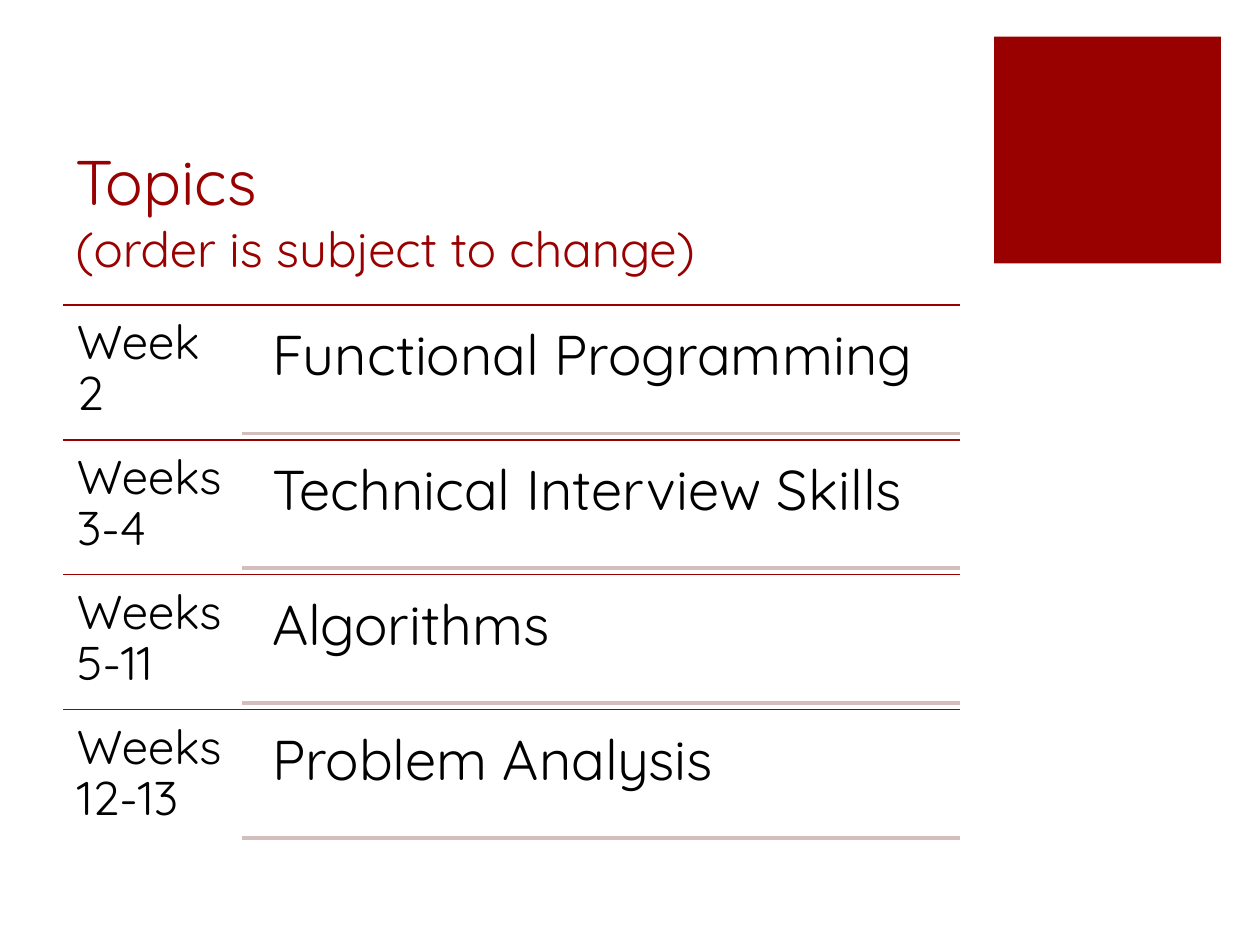
"""Build the course topics slide: a title above a ruled list of weeks."""
from lxml import etree
from pptx import Presentation
from pptx import util as u
from pptx.dml.color import RGBColor
from pptx.enum import shapes, text
from pptx.oxml.ns import qn

COLORS = {"accent": "990000", "rule": "D4BDBD", "body": "000000"}
FONT = "Quicksand"
TITLE = [("Topics", 36), ("(order is subject to change)", 28)]
TOPICS = [
    ("Week 2", "Functional Programming"),
    ("Weeks 3-4", "Technical Interview Skills"),
    ("Weeks 5-11", "Algorithms"),
    ("Weeks 12-13", "Problem Analysis"),
]
LEFT, RIGHT, TOP, PITCH = 0.5, 7.62, 2.42, 1.07
WEEK_WIDTH, TOPIC_LEFT, GAP = 1.42, 2.03, 0.05

deck = Presentation()
deck.slide_width, deck.slide_height = u.Inches(10), u.Inches(7.5)
slide = deck.slides.add_slide(deck.slide_layouts[6])


def color(name):
    return RGBColor.from_string(COLORS[name])


def add_rule(left, y, name, width):
    rule = slide.shapes.add_connector(
        shapes.MSO_CONNECTOR.STRAIGHT, *map(u.Inches, (left, y, RIGHT, y)))
    rule.line.color.rgb = color(name)
    rule.line.width = u.Pt(width)
    etree.SubElement(rule._element.spPr, qn("a:effectLst"))


def add_text(box, lines, name, inset, anchor, spacing=1.0):
    frame = slide.shapes.add_textbox(*map(u.Inches, box)).text_frame
    margins = {f"margin_{side}": u.Inches(inset[i % 2])
               for i, side in enumerate(("left", "top", "right", "bottom"))}
    for key, value in {"word_wrap": True, "vertical_anchor": anchor, **margins}.items():
        setattr(frame, key, value)
    paragraph = frame.paragraphs[0]
    paragraph.line_spacing = spacing
    for i, (words, size) in enumerate(lines):
        if i:
            paragraph.add_line_break()
        run = paragraph.add_run()
        run.text = words
        for key, value in {"name": FONT, "size": u.Pt(size)}.items():
            setattr(run.font, key, value)
        run.font.color.rgb = color(name)


corner = slide.shapes.add_shape(
    shapes.MSO_SHAPE.RECTANGLE, *map(u.Inches, (7.89, 0.29, 1.8, 1.8)))
corner.shadow.inherit = False
corner.fill.solid()
corner.fill.fore_color.rgb = color("accent")
corner.line.fill.background()

add_text((LEFT, 1, RIGHT - LEFT, 1.25), TITLE, "accent", (0.1, 0.05),
         text.MSO_ANCHOR.BOTTOM)

for row, (week, topic) in enumerate(TOPICS):
    y = TOP + row * PITCH
    add_rule(LEFT, y, "accent", 1)
    add_text((LEFT, y, WEEK_WIDTH, PITCH), [(week, 27)], "body",
             (0.11, 0.11), text.MSO_ANCHOR.TOP, 0.9)
    add_text((TOPIC_LEFT, y + GAP, RIGHT - TOPIC_LEFT, PITCH - 2 * GAP),
             [(topic, 32)], "body", (0.13, 0.13), text.MSO_ANCHOR.TOP, 0.9)
    add_rule(LEFT + WEEK_WIDTH, y + PITCH - GAP, "rule", 2)

deck.save("out.pptx")
